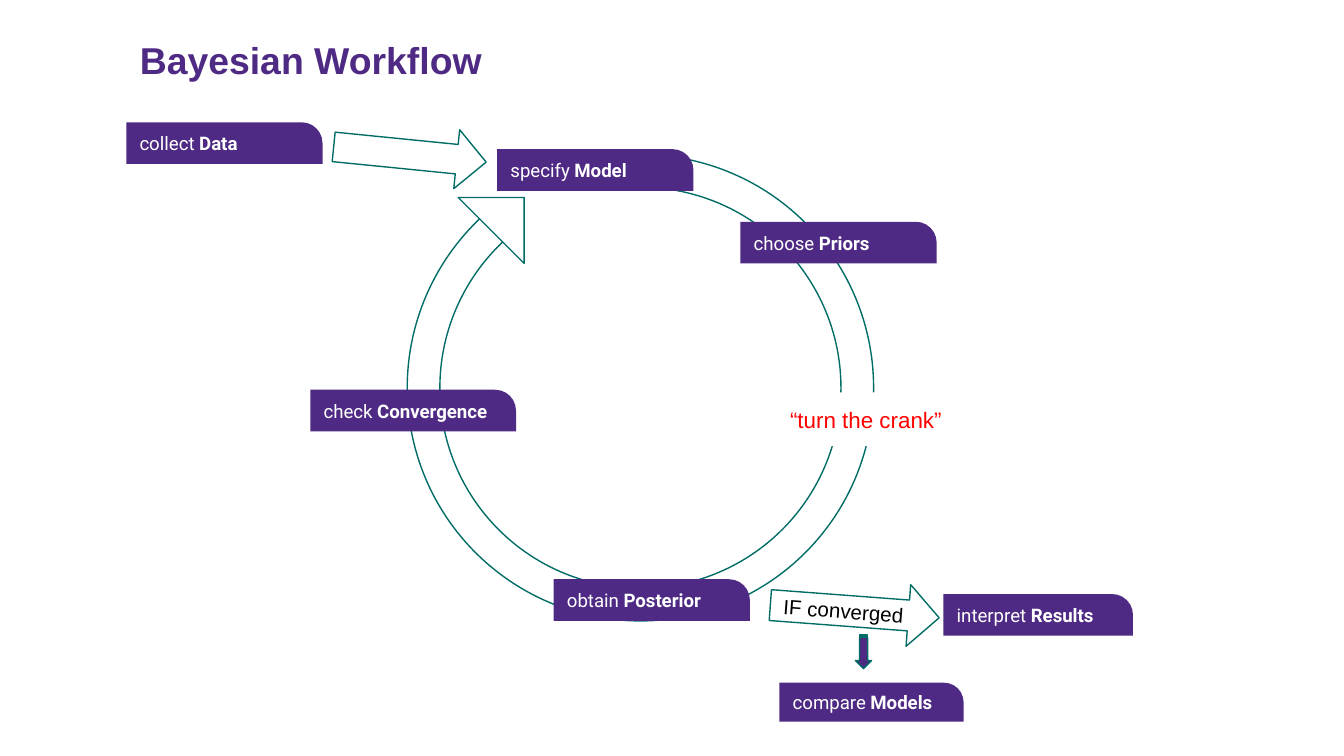
from dataclasses import dataclass
from typing import Any, Optional

import pptx
import pptx.dml.color
import pptx.enum.shapes
import pptx.enum.text
import pptx.util

Inches = pptx.util.Inches
Shapes = pptx.enum.shapes.MSO_SHAPE
Anchor = pptx.enum.text.MSO_ANCHOR


@dataclass(frozen=True)
class Theme:
    purple: str = "4E2A84"
    teal: str = "006C66"
    white: str = "FFFFFF"
    black: str = "000000"
    red: str = "FF0000"
    heading_font: str = "Arial"
    step_font: str = "Roboto"
    title_size: int = 20
    step_size: int = 10
    condition_size: int = 11
    remark_size: int = 12
    outline: float = 0.75
    inset: float = 0.1


@dataclass(frozen=True)
class Box:
    left: float
    top: float
    width: float
    height: float

    def lengths(self) -> tuple:
        return tuple(Inches(v) for v in (self.left, self.top, self.width, self.height))


@dataclass(frozen=True)
class Step:
    verb: str
    noun: str
    left: float
    top: float
    width: float = 1.46
    height: float = 0.31


THEME = Theme()

STEPS = (
    Step("obtain", "Posterior", 4.12, 4.31),
    Step("check", "Convergence", 2.31, 2.9, width=1.53),
    Step("specify", "Model", 3.7, 1.11),
    Step("choose", "Priors", 5.51, 1.65),
    Step("collect", "Data", 0.94, 0.91),
    Step("interpret", "Results", 7.02, 4.42, width=1.41),
    Step("compare", "Models", 5.8, 5.08, width=1.37, height=0.29),
)


def rgb(color: str) -> pptx.dml.color.RGBColor:
    return pptx.dml.color.RGBColor.from_string(color)


def paint(shape: Any, fill: str) -> None:
    shape.fill.solid()
    shape.fill.fore_color.rgb = rgb(fill)


def add_text(shape: Any, text: str, *, size: float, color: str, font: str = THEME.heading_font,
             bold: bool = False, anchor: Any = Anchor.MIDDLE) -> None:
    frame = shape.text_frame
    frame.word_wrap = True
    frame.auto_size = pptx.enum.text.MSO_AUTO_SIZE.NONE
    frame.vertical_anchor = anchor
    frame.margin_left = frame.margin_right = Inches(THEME.inset)
    frame.margin_top = frame.margin_bottom = Inches(THEME.inset)
    paragraph = frame.paragraphs[0]
    paragraph.alignment = pptx.enum.text.PP_ALIGN.LEFT
    run = paragraph.add_run()
    run.text = text
    run.font.name = font
    run.font.size = pptx.util.Pt(size)
    run.font.bold = bold
    run.font.color.rgb = rgb(color)


def add_figure(shapes: Any, kind: Any, box: Box, *, fill: str = THEME.white,
               line: Optional[str] = THEME.teal, rotation: float = 0,
               adjustments: tuple = ()) -> Any:
    figure = shapes.add_shape(kind, *box.lengths())
    figure.shadow.inherit = False
    figure.rotation = rotation
    paint(figure, fill)
    if line:
        figure.line.color.rgb = rgb(line)
        figure.line.width = pptx.util.Pt(THEME.outline)
    else:
        figure.line.fill.background()
    for index, value in enumerate(adjustments):
        figure.adjustments[index] = value
    return figure


def add_step(shapes: Any, step: Step) -> None:
    label = add_figure(shapes, Shapes.ROUND_1_RECTANGLE,
                       Box(step.left, step.top, step.width, step.height),
                       fill=THEME.purple, line=None, adjustments=(0.5,))
    for text, bold in ((step.verb + " ", False), (step.noun, True)):
        add_text(label, text, size=THEME.step_size, color=THEME.white,
                 font=THEME.step_font, bold=bold)


def add_cycle(shapes: Any) -> None:
    cycle = shapes.add_group_shape().shapes
    add_figure(cycle, Shapes.BLOCK_ARC, Box(3.03, 1.15, 3.47, 3.47),
               rotation=180, adjustments=(54, 30.13, 0.07))
    add_figure(cycle, Shapes.RIGHT_TRIANGLE, Box(3.41, 1.47, 0.49, 0.49), rotation=180)


def main() -> None:
    deck = pptx.Presentation()
    deck.slide_width = Inches(10)
    deck.slide_height = deck.slide_width * 9 // 16
    slide = deck.slides.add_slide(deck.slide_layouts.get_by_name("Title Only"))
    shapes = slide.shapes

    title = shapes.title
    title.left, title.top, title.width, title.height = Box(0.94, 0.18, 3.71, 0.54).lengths()
    paint(title, THEME.white)
    add_text(title, "Bayesian Workflow", size=THEME.title_size, color=THEME.purple,
             bold=True, anchor=Anchor.TOP)

    add_cycle(shapes)
    for step in STEPS:
        add_step(shapes, step)

    add_figure(shapes, Shapes.RIGHT_ARROW, Box(2.48, 0.93, 1.14, 0.44), rotation=5.7)
    condition = add_figure(shapes, Shapes.RIGHT_ARROW, Box(5.73, 4.32, 1.26, 0.46), rotation=4.3)
    add_text(condition, "IF converged", size=THEME.condition_size, color=THEME.black)
    add_figure(shapes, Shapes.STRIPED_RIGHT_ARROW, Box(6.3, 4.79, 0.25, 0.12),
               fill=THEME.purple, rotation=90)

    remark = shapes.add_textbox(*Box(5.78, 2.92, 1.41, 0.4).lengths())
    paint(remark, THEME.white)
    add_text(remark, "“turn the crank”", size=THEME.remark_size, color=THEME.red,
             anchor=Anchor.TOP)

    deck.save("out.pptx")


if __name__ == "__main__":
    main()
